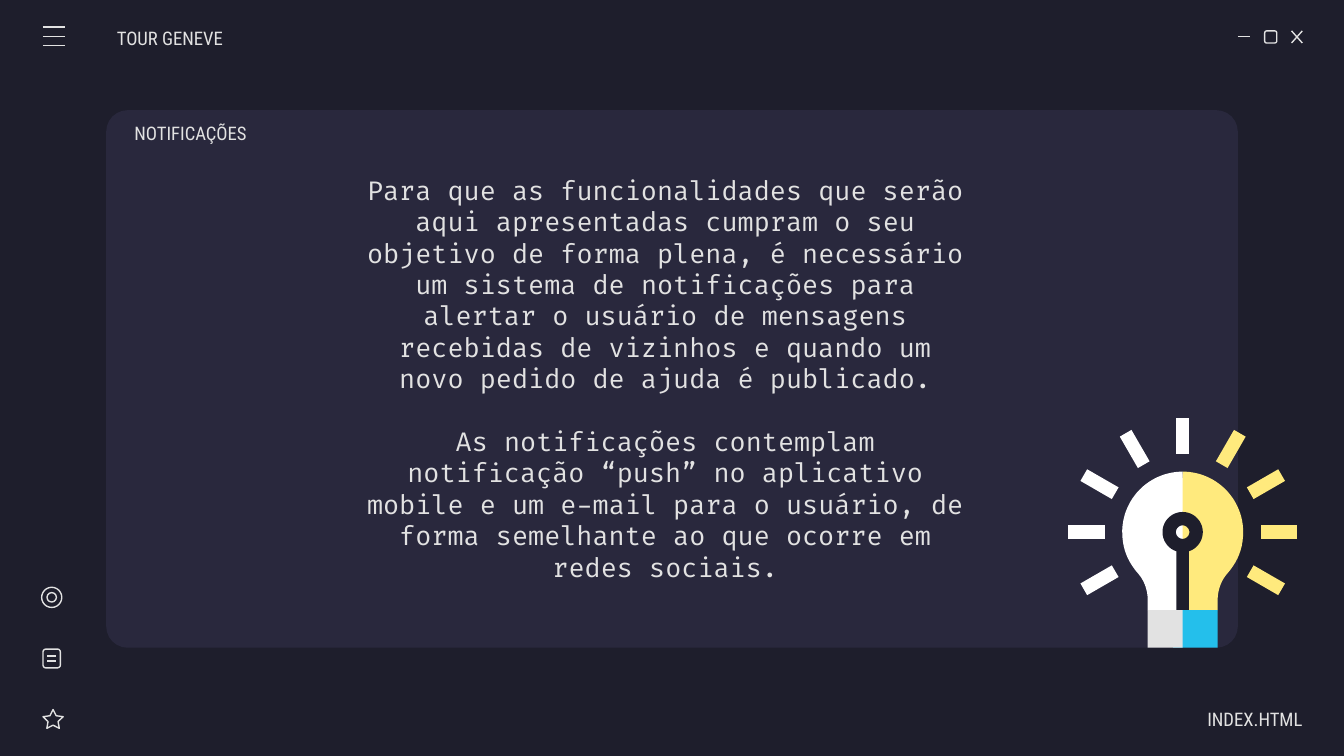
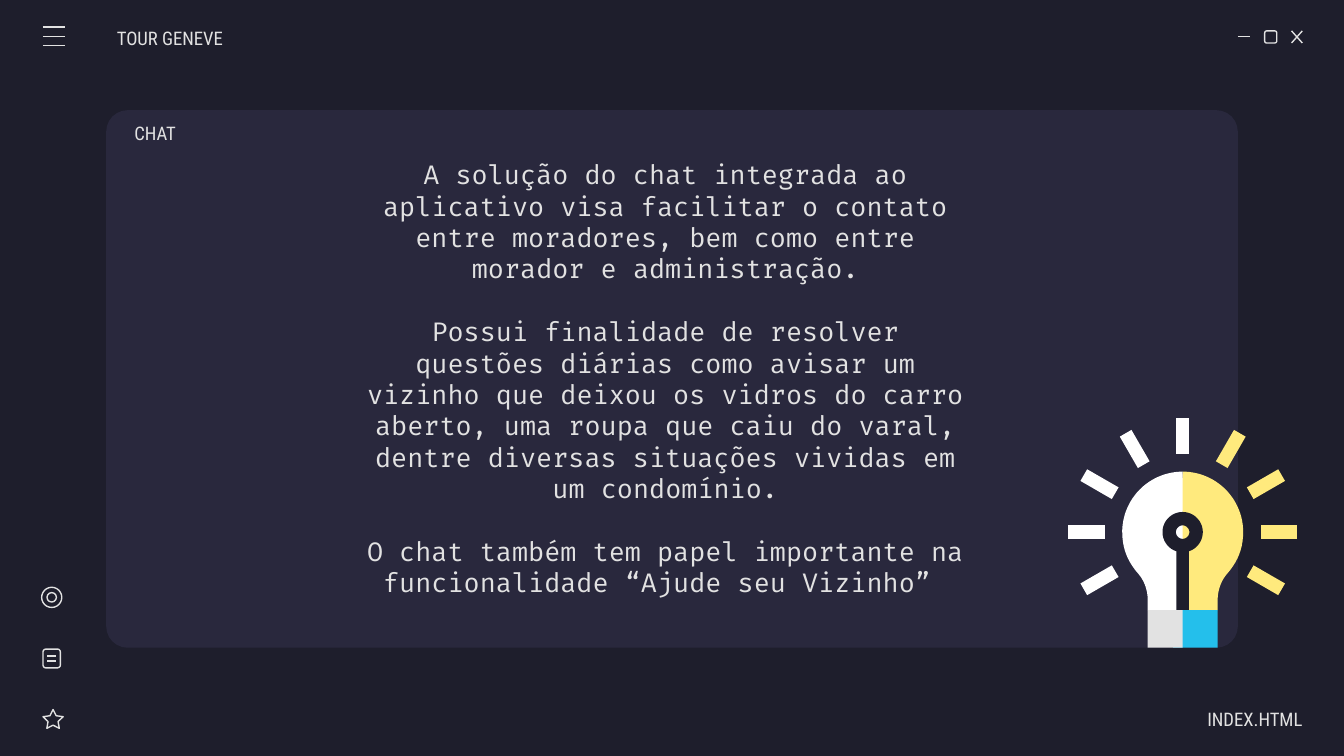
from math import cos, radians, sin

from lxml import etree
from pptx import Presentation
from pptx.dml.color import RGBColor
from pptx.enum.shapes import MSO_CONNECTOR, MSO_SHAPE
from pptx.enum.text import MSO_ANCHOR, MSO_AUTO_SIZE, PP_ALIGN
from pptx.oxml.ns import qn
from pptx.util import Inches, Pt

STRAIGHT = MSO_CONNECTOR.STRAIGHT
RECTANGLE, ROUNDED = MSO_SHAPE.RECTANGLE, MSO_SHAPE.ROUNDED_RECTANGLE
OVAL, STAR = MSO_SHAPE.OVAL, MSO_SHAPE.STAR_5_POINT
LEFT, CENTER, RIGHT = PP_ALIGN.LEFT, PP_ALIGN.CENTER, PP_ALIGN.RIGHT
MIDDLE, NO_AUTOFIT = MSO_ANCHOR.MIDDLE, MSO_AUTO_SIZE.NONE

SECTIONS = [
    ("NOTIFICAÇÕES", [
        "Para que as funcionalidades que serão aqui apresentadas cumpram o seu "
        "objetivo de forma plena, é necessário um sistema de notificações para "
        "alertar o usuário de mensagens recebidas de vizinhos e quando um novo "
        "pedido de ajuda é publicado.",
        "As notificações contemplam notificação “push” no aplicativo mobile e um "
        "e-mail para o usuário, de forma semelhante ao que ocorre em redes sociais.",
    ]),
    ("CHAT", [
        "A solução do chat integrada ao aplicativo visa facilitar o contato entre "
        "moradores, bem como entre morador e administração.",
        "Possui finalidade de resolver questões diárias como avisar um vizinho que "
        "deixou os vidros do carro aberto, uma roupa que caiu do varal, dentre "
        "diversas situações vividas em um condomínio.",
        "O chat também tem papel importante na funcionalidade “Ajude seu Vizinho” ",
    ]),
]
PROJECT = "TOUR GENEVE"
FILE_LABEL = "INDEX.HTML"

COLORS = {
    "background": "1E1E2C", "card": "29283D", "text": "E2E2E2",
    "white": "FFFFFF", "yellow": "FFEA7D", "blue": "24BFEB",
}
LABEL_FONT, BODY_FONT = "Roboto Condensed", "Fira Code"
LABEL_SIZE, BODY_SIZE = 10, 14
BODY_LINE = 16.8  # height of one body line, in points
LABEL_BOX = (1.17, 0.3)
PADDING = 0.1

# Light bulb: centre of the glass and radii, in inches
BULB_X, BULB_Y = 8.8, 3.96
GLASS_RADIUS, RING_RADIUS, HOLE_RADIUS = 0.45, 0.15, 0.05
RAY_START, RAY_END, HALF_RAY = 0.58, 0.85, 0.05
BASE_TOP, BASE_WIDTH, BASE_HEIGHT = 4.54, 0.26, 0.28
STEM_BOTTOM = 4.61
OVERLAP = 0.07  # the right half reaches under the left one


def color(name):
    return RGBColor.from_string(COLORS[name])


def add_shape(shapes, kind, box, fill=None, adjustment=None):
    """Filled shape without a line or, when fill is None, an outlined icon part."""
    shape = shapes.add_shape(kind, *map(Inches, box))
    if adjustment is not None:
        shape.adjustments[0] = adjustment
    paint(shape, fill)


def paint(shape, fill):
    shape.shadow.inherit = False
    if fill:
        shape.fill.solid()
        shape.fill.fore_color.rgb = color(fill)
        shape.line.fill.background()
    else:
        shape.fill.background()
        shape.line.color.rgb = color("text")
        shape.line.width = Pt(0.75)


def add_line(shapes, *ends):
    line = shapes.add_connector(STRAIGHT, *map(Inches, ends))
    line.line.color.rgb = color("text")
    line.line.width = Pt(0.75)
    etree.SubElement(line._element.spPr, qn("a:effectLst"))


def add_outline(shapes, fill, *contours):
    """One freeform; contours after the first cut holes."""
    points = [[(Inches(x), Inches(y)) for x, y in contour] for contour in contours]
    builder = shapes.build_freeform(*points[0][0], scale=1.0)
    builder.add_line_segments(points[0][1:], close=True)
    for hole in points[1:]:
        builder.move_to(*hole[0])
        builder.add_line_segments(hole[1:], close=True)
    paint(builder.convert_to_shape(), fill)


def write(shape, box, paragraphs, font, size, align):
    shape.left, shape.top, shape.width, shape.height = map(Inches, box)
    frame = shape.text_frame
    frame.word_wrap = True
    frame.auto_size = NO_AUTOFIT
    frame.vertical_anchor = MIDDLE
    frame.margin_top = frame.margin_bottom = Inches(PADDING)
    frame.margin_left = Inches(PADDING if align == RIGHT else 0)
    frame.margin_right = Inches(0 if align == RIGHT else PADDING)
    for index, text in enumerate(paragraphs):
        paragraph = frame.add_paragraph() if index else frame.paragraphs[0]
        paragraph.alignment = align
        if index:
            paragraph.space_before = Pt(BODY_LINE)
        run = paragraph.add_run()
        run.text = text
        run.font.name = font
        run.font.size = Pt(size)
        run.font.color.rgb = color("text")


def add_text(slide, box, paragraphs, font, size, align):
    write(slide.shapes.add_textbox(0, 0, 0, 0), box, paragraphs, font, size, align)


def polar(radius, degrees, offset=0):
    """Point around the bulb centre, shifted sideways by offset."""
    angle = radians(degrees)
    return (BULB_X + radius * cos(angle) - offset * sin(angle),
            BULB_Y - radius * sin(angle) - offset * cos(angle))


def arc(radius, start, end, steps=40):
    return [polar(radius, start + (end - start) * i / steps) for i in range(steps + 1)]


def bezier(a, b, c, d, steps=10):
    weights = [((1 - t) ** 3, 3 * t * (1 - t) ** 2, 3 * t * t * (1 - t), t ** 3)
               for t in (i / steps for i in range(steps + 1))]
    return [tuple(sum(w * p[axis] for w, p in zip(row, (a, b, c, d))) for axis in (0, 1))
            for row in weights]


def add_window_buttons(slide):
    shapes = slide.shapes.add_group_shape().shapes
    add_line(shapes, 9.21, 0.27, 9.3, 0.27)
    add_shape(shapes, ROUNDED, (9.41, 0.23, 0.09, 0.09))
    add_line(shapes, 9.61, 0.23, 9.69, 0.32)
    add_line(shapes, 9.69, 0.23, 9.61, 0.32)


def add_menu(slide):
    shapes = slide.shapes.add_group_shape().shapes
    for y in (0.2, 0.27, 0.34):
        add_line(shapes, 0.32, y, 0.48, y)


def add_sidebar(slide):
    shapes = slide.shapes.add_group_shape().shapes
    add_shape(shapes, STAR, (0.32, 5.28, 0.15, 0.14), adjustment=0.25)
    add_shape(shapes, ROUNDED, (0.32, 4.83, 0.13, 0.14))
    for y in (4.88, 4.92):
        add_line(shapes, 0.35, y, 0.42, y)
    for inset in (0, 0.04):
        side = 0.15 - 2 * inset
        add_shape(shapes, OVAL, (0.31 + inset, 4.37 + inset, side, side))


def add_light_bulb(slide):
    shapes = slide.shapes.add_group_shape().shapes
    glass = arc(GLASS_RADIUS, 90, 0) + bezier(
        (9.25, 3.96), (9.25, 4.08), (9.21, 4.18), (9.13, 4.27))
    neck = bezier((9.13, 4.27), (9.08, 4.33), (9.06, 4.4), (9.06, 4.47))
    right_half = glass + neck + [(BULB_X + BASE_WIDTH, BASE_TOP)]
    left_half = [(2 * BULB_X - x, y) for x, y in right_half]
    add_outline(shapes, "yellow", right_half + [(BULB_X - OVERLAP, STEM_BOTTOM)])
    add_outline(shapes, "white", left_half + [(BULB_X, STEM_BOTTOM)])

    for degrees in range(-30, 211, 30):
        ray = [polar(RAY_START, degrees, -HALF_RAY), polar(RAY_END, degrees, -HALF_RAY),
               polar(RAY_END, degrees, HALF_RAY), polar(RAY_START, degrees, HALF_RAY)]
        add_outline(shapes, "yellow" if degrees < 90 else "white", ray)

    ring = arc(RING_RADIUS, -72, 252)
    stem = [(ring[-1][0], STEM_BOTTOM), (ring[0][0], STEM_BOTTOM)]
    add_outline(shapes, "background", ring + stem, arc(HOLE_RADIUS, 360, 0))

    base_left = BULB_X - BASE_WIDTH
    for left, width, fill in ((BULB_X - OVERLAP, BASE_WIDTH + OVERLAP, "blue"),
                              (base_left, BASE_WIDTH, "text")):
        add_shape(shapes, RECTANGLE, (left, BASE_TOP, width, BASE_HEIGHT), fill)


def add_section(presentation, title, paragraphs):
    slide = presentation.slides.add_slide(presentation.slide_layouts[5])
    add_shape(slide.shapes, ROUNDED, (0.79, 0.82, 8.42, 4), "card", 0.04)
    add_window_buttons(slide)
    add_text(slide, (0.87, 0.13, *LABEL_BOX), [PROJECT], LABEL_FONT, LABEL_SIZE, LEFT)
    add_menu(slide)
    add_sidebar(slide)
    add_text(slide, (8.52, 5.2, *LABEL_BOX), [FILE_LABEL], LABEL_FONT, LABEL_SIZE, RIGHT)
    heading = slide.shapes.title
    write(heading, (1, 0.84, *LABEL_BOX), [title], LABEL_FONT, LABEL_SIZE, LEFT)
    heading._element.getparent().append(heading._element)  # in front of the card
    add_text(slide, (2.7, 1.5, 4.6, 2.63), paragraphs, BODY_FONT, BODY_SIZE, CENTER)
    add_light_bulb(slide)


def main():
    presentation = Presentation()
    presentation.slide_width = Inches(10)
    presentation.slide_height = presentation.slide_width * 9 // 16
    background = presentation.slide_master.background.fill
    background.solid()
    background.fore_color.rgb = color("background")
    for title, paragraphs in SECTIONS:
        add_section(presentation, title, paragraphs)
    presentation.save("out.pptx")


if __name__ == "__main__":
    main()
